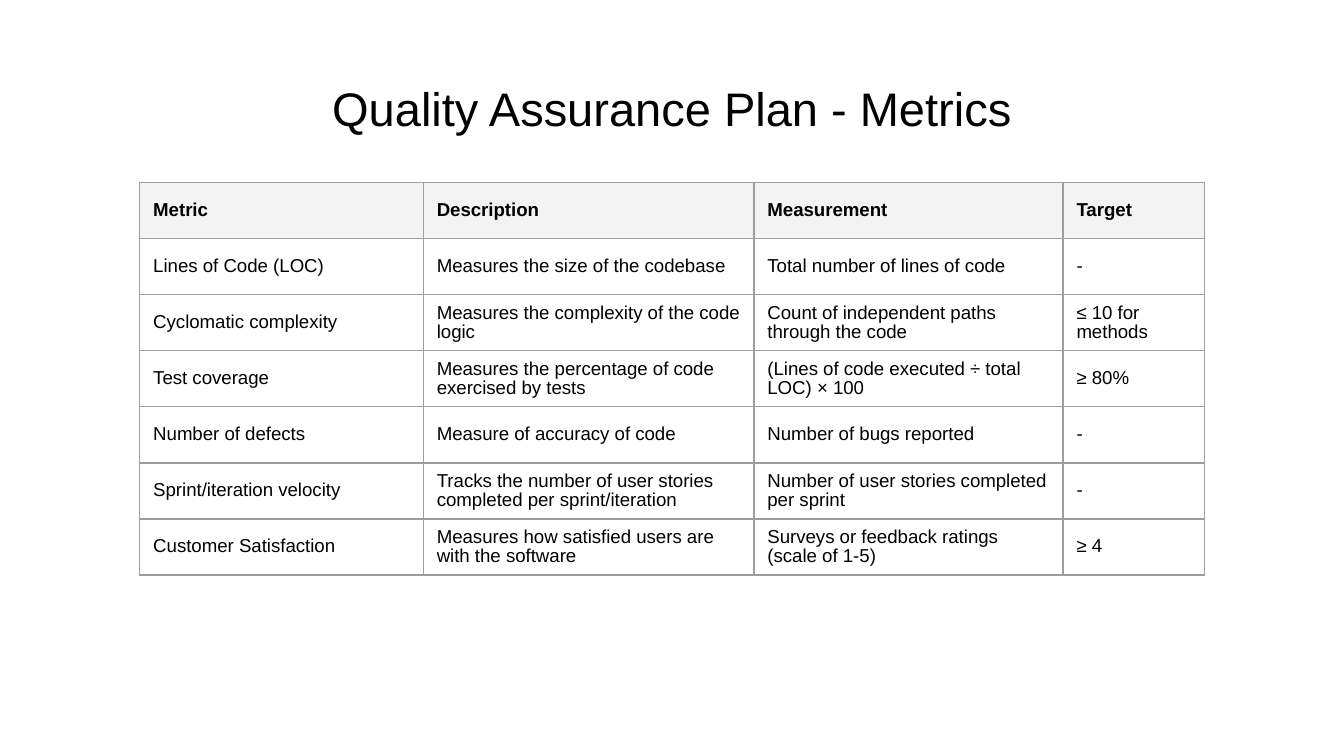
from dataclasses import dataclass
from typing import NamedTuple

from lxml.etree import SubElement
from pptx import Presentation
from pptx.dml.color import RGBColor as RGB
from pptx.enum.text import MSO_ANCHOR as Anchor, PP_ALIGN as Align
from pptx.oxml.ns import qn
from pptx.util import Inches, Pt


@dataclass(frozen=True)
class Theme:
    font: str = "Arial"
    ink: str = "000000"
    head: str = "F3F3F3"
    rule: str = "9E9E9E"
    line: float = 0.75
    title: float = 25.2
    body: float = 10
    lead: float = 0.93


class Metric(NamedTuple):
    name: str
    about: str
    measure: str
    target: str


THEME = Theme()
HEAD = Metric("Metric", "Description", "Measurement", "Target")
METRICS = [
    Metric("Lines of Code (LOC)", "Measures the size of the codebase",
           "Total number of lines of code", "-"),
    Metric("Cyclomatic complexity", "Measures the complexity of the code logic",
           "Count of independent paths through the code", "≤ 10 for methods"),
    Metric("Test coverage", "Measures the percentage of code exercised by tests",
           "(Lines of code executed ÷ total LOC) × 100", "≥ 80%"),
    Metric("Number of defects", "Measure of accuracy of code",
           "Number of bugs reported", "-"),
    Metric("Sprint/iteration velocity",
           "Tracks the number of user stories completed per sprint/iteration",
           "Number of user stories completed per sprint", "-"),
    Metric("Customer Satisfaction", "Measures how satisfied users are with the software",
           "Surveys or feedback ratings (scale of 1-5)", "≥ 4"),
]
WIDE = 10
TALL = WIDE * 9 / 16
WIDTHS = [2.11, 2.46, 2.3, 1.05]
HEIGHT = 2.92


def write(frame, text: str, size: float, bold: bool = False):
    """Fill the frame with one styled run and return its paragraph."""
    para = frame.paragraphs[0]
    run = para.add_run()
    run.text = text
    for key, value in {"name": THEME.font, "size": Pt(size), "bold": bold}.items():
        setattr(run.font, key, value)
    run.font.color.rgb = RGB.from_string(THEME.ink)
    return para


def edge(cell) -> None:
    """Rule all four sides; borders must come before the fill in the XML."""
    props = cell._tc.get_or_add_tcPr()
    for side in ("lnL", "lnR", "lnT", "lnB"):
        line = SubElement(props, qn(f"a:{side}"), w=str(Pt(THEME.line)))
        fill = SubElement(line, qn("a:solidFill"))
        SubElement(fill, qn("a:srgbClr"), val=THEME.rule)


def add_title(slide, text: str) -> None:
    box = slide.shapes.add_textbox(Inches(0.34), Inches(0.49), Inches(9.32), Inches(0.63))
    frame = box.text_frame
    form = {"word_wrap": True, "vertical_anchor": Anchor.MIDDLE}
    form.update({f"margin_{side}": Inches(0.1) for side in ("left", "right", "top", "bottom")})
    for key, value in form.items():
        setattr(frame, key, value)
    write(frame, text, THEME.title).alignment = Align.CENTER


def add_grid(slide, rows: list[Metric]) -> None:
    table = slide.shapes.add_table(
        len(rows), len(WIDTHS), Inches(1.04), Inches(1.36),
        Inches(sum(WIDTHS)), Inches(HEIGHT)).table
    table.horz_banding = False
    for col, width in zip(table.columns, WIDTHS):
        col.width = Inches(width)
    for r, row in enumerate(rows):
        table.rows[r].height = Inches(HEIGHT / len(rows))
        for c, text in enumerate(row):
            cell = table.cell(r, c)
            cell.vertical_anchor = Anchor.MIDDLE
            edge(cell)
            if r == 0:
                cell.fill.solid()
                cell.fill.fore_color.rgb = RGB.from_string(THEME.head)
            else:
                cell.fill.background()
            para = write(cell.text_frame, text, THEME.body, bold=r == 0)
            para.line_spacing = THEME.lead


def main() -> None:
    deck = Presentation()
    deck.slide_width, deck.slide_height = Inches(WIDE), Inches(TALL)
    slide = deck.slides.add_slide(deck.slide_layouts[6])
    add_title(slide, "Quality Assurance Plan - Metrics")
    add_grid(slide, [HEAD, *METRICS])
    deck.save("out.pptx")


if __name__ == "__main__":
    main()
